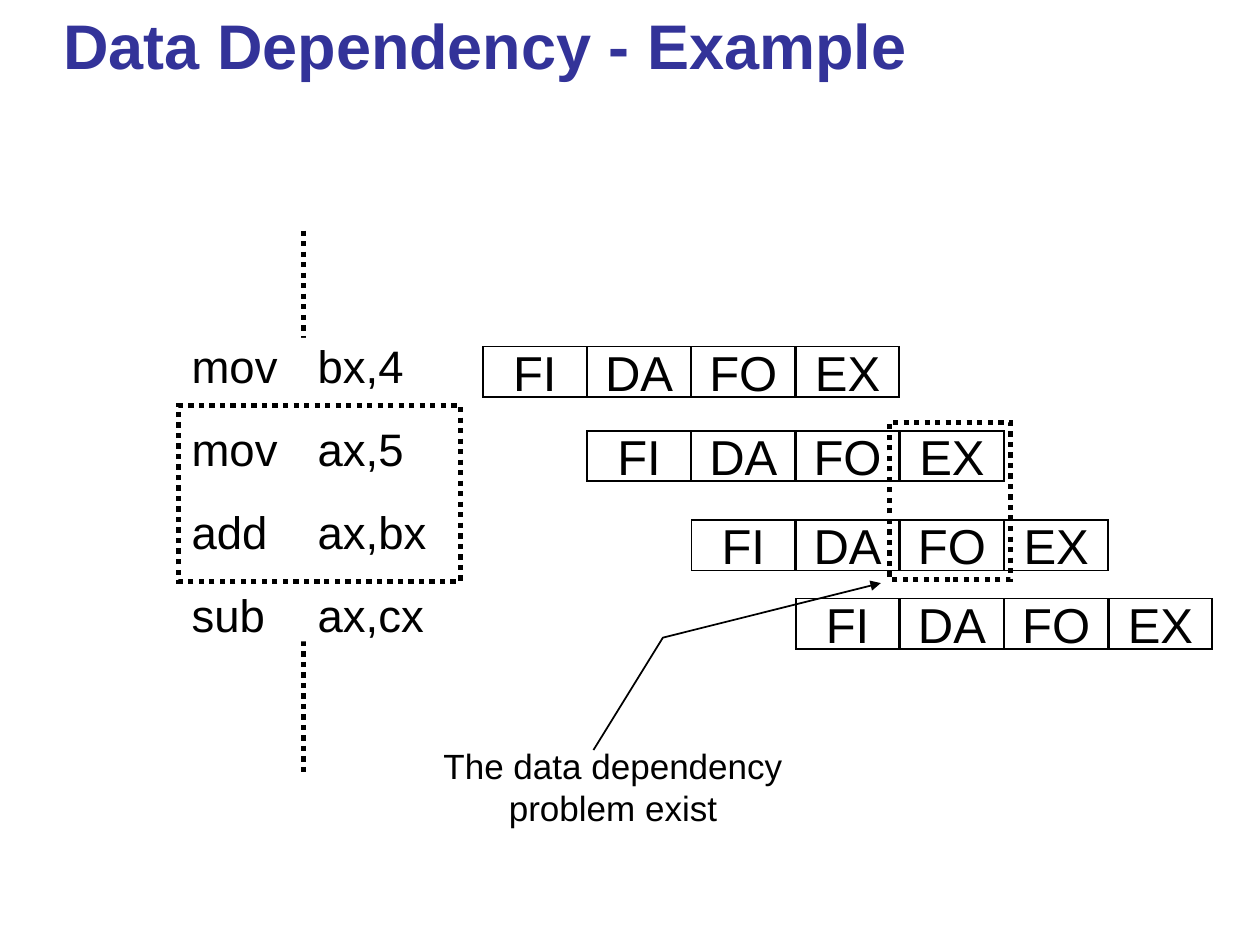
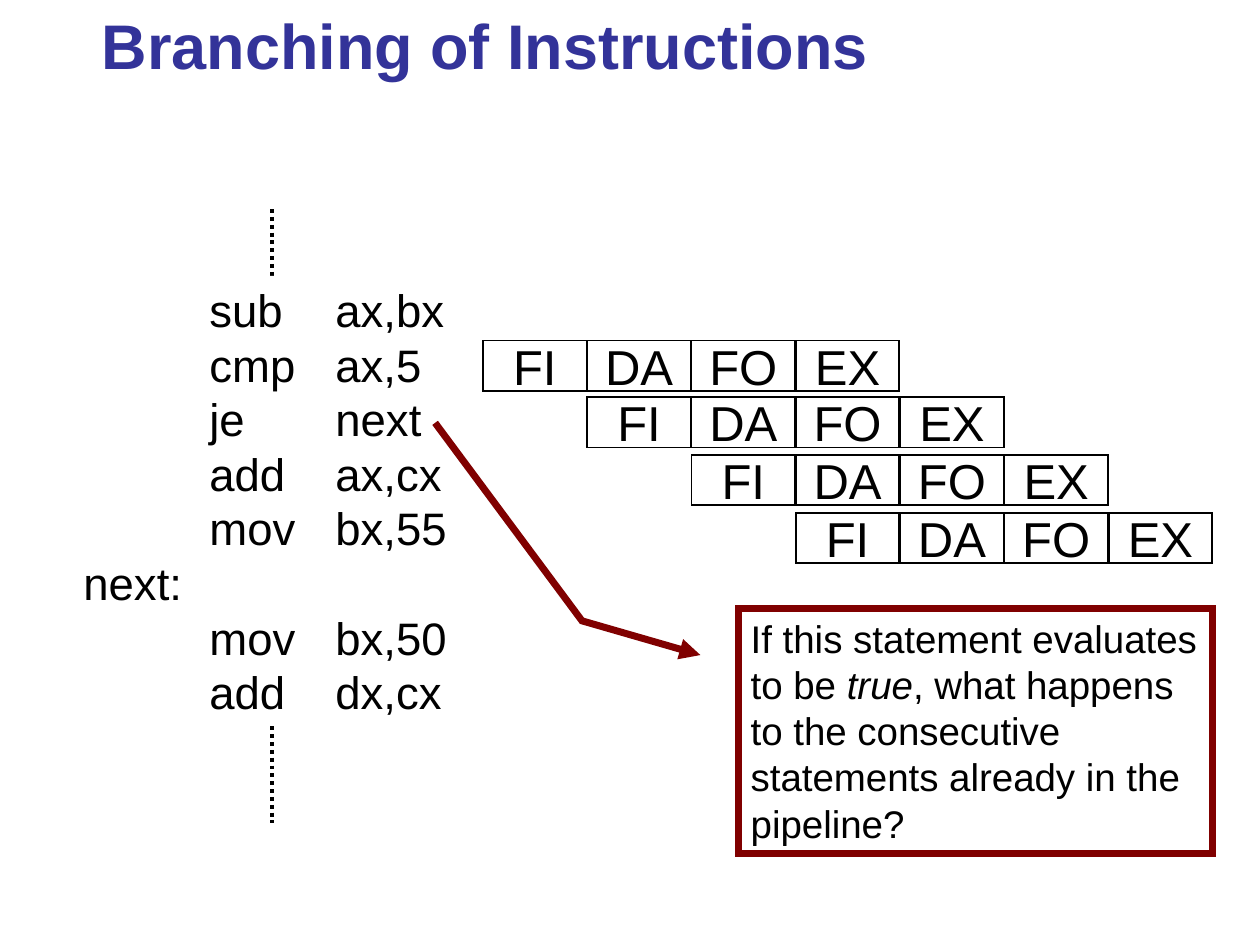
from pptx import Presentation
from pptx.dml.color import RGBColor
from pptx.enum.dml import MSO_LINE
from pptx.enum.shapes import MSO_CONNECTOR, MSO_SHAPE
from pptx.enum.text import MSO_ANCHOR, MSO_AUTO_SIZE, PP_ALIGN
from pptx.oxml.ns import qn
from pptx.util import Pt
from lxml.etree import SubElement

COLORS = {"title": "333399", "ink": "000000", "paper": "FFFFFF", "alert": "800000"}
FONT = "Arial"
STAGES = ["FI", "DA", "FO", "EX"]
STAGE_LEFT, STAGE_STEP, STAGE_WIDTH, STAGE_HEIGHT = 276, 59.6, 59.2, 28.8

LESSONS = [
    {
        "title": "Data Dependency - Example",
        "code": ["mov\tbx,4", "mov\tax,5", "add\tax,bx", "sub\tax,cx"],
        "code_box": (109.5, 193, 138, 173.5),
        "code_margins": (0, 0),
        "code_gap": 16.2,
        "ellipsis": (173.5, 131.8, 443, 3),
        "row_tops": [198, 246.2, 297.2, 342],
    },
    {
        "title": "Branching of Instructions",
        "code": ["\tsub\tax,bx", "\tcmp\tax,5", "\tje\tnext", "\tadd\tax,cx",
                 "\tmov\tbx,55", "next:", "\tmov\tbx,50", "\tadd\tdx,cx"],
        "code_box": (40.6, 157.7, 230, 257),
        "code_margins": (7.2, 3.6),
        "code_gap": 0,
        "ellipsis": (155.5, 119.5, 470.2, 2.25),
        "row_tops": [194.6, 227, 260, 293],
    },
]


def style_text(shape, size, color="ink", bold=False, align=PP_ALIGN.LEFT,
               anchor=MSO_ANCHOR.TOP, wrap=True):
    frame = shape.text_frame
    frame.word_wrap = wrap
    frame.vertical_anchor = anchor
    for paragraph in frame.paragraphs:
        paragraph.alignment = align
        for run in paragraph.runs:
            run.font.name = FONT
            run.font.size = Pt(size)
            run.font.bold = bold
            run.font.color.rgb = RGBColor.from_string(COLORS[color])


def style_line(shape, width, color="ink", dotted=False, arrow=None):
    shape.line.color.rgb = RGBColor.from_string(COLORS[color])
    shape.line.width = Pt(width)
    if dotted:
        shape.line.dash_style = MSO_LINE.ROUND_DOT
    outline = shape._element.spPr.find(qn("a:ln"))
    SubElement(outline, qn("a:miter")).set("lim", "800000")
    if arrow:
        SubElement(outline, qn(f"a:{arrow}")).set("type", "triangle")


deck = Presentation()
deck.slide_width, deck.slide_height = Pt(720), Pt(540)
paper = RGBColor.from_string(COLORS["paper"])
slides = []

# Parts that both slides share
for lesson in LESSONS:
    slide = deck.slides.add_slide(deck.slide_layouts[6])
    slides.append(slide)

    # Dotted line for the rest of the program, behind the code
    x, top, bottom, width = lesson["ellipsis"]
    ellipsis = slide.shapes.add_connector(
        MSO_CONNECTOR.STRAIGHT, Pt(x), Pt(top), Pt(x), Pt(bottom))
    style_line(ellipsis, width, dotted=True)
    SubElement(ellipsis._element.spPr, qn("a:effectLst"))

    # Title
    title = slide.shapes.add_textbox(0, 0, Pt(554.4), Pt(90))
    title.text_frame.text = lesson["title"]
    style_text(title, 36, "title", bold=True, align=PP_ALIGN.CENTER)

    # Assembly code, with operands on tab stops
    code = slide.shapes.add_textbox(*map(Pt, lesson["code_box"]))
    code.fill.solid()
    code.fill.fore_color.rgb = paper
    frame = code.text_frame
    frame.auto_size = MSO_AUTO_SIZE.SHAPE_TO_FIT_TEXT
    side, edge = map(Pt, lesson["code_margins"])
    frame.margin_left = frame.margin_right = side
    frame.margin_top = frame.margin_bottom = edge
    frame.text = "\n".join(lesson["code"])
    for instruction in frame.paragraphs:
        instruction.space_after = Pt(lesson["code_gap"])
        tabs = SubElement(instruction._p.get_or_add_pPr(), qn("a:tabLst"))
        for stop in (72, 144):
            tab = SubElement(tabs, qn("a:tab"))
            tab.set("pos", str(Pt(stop)))
            tab.set("algn", "l")
    style_text(code, 26)

    # Pipeline: each instruction starts one stage later
    for row, top in enumerate(lesson["row_tops"]):
        for column, name in enumerate(STAGES):
            stage = slide.shapes.add_shape(
                MSO_SHAPE.RECTANGLE, Pt(STAGE_LEFT + (row + column) * STAGE_STEP),
                Pt(top), Pt(STAGE_WIDTH), Pt(STAGE_HEIGHT))
            stage.shadow.inherit = False
            stage.fill.solid()
            stage.fill.fore_color.rgb = paper
            style_line(stage, 1)
            stage.text_frame.text = name
            style_text(stage, 28, align=PP_ALIGN.CENTER,
                       anchor=MSO_ANCHOR.MIDDLE, wrap=False)

dependency, branching = slides

# Dotted frames around the dependent instructions and their stages
for bounds in [(102.2, 231.8, 160.9, 100.4), (508.3, 241.4, 69.1, 89.6)]:
    conflict = dependency.shapes.add_shape(MSO_SHAPE.RECTANGLE, *map(Pt, bounds))
    conflict.shadow.inherit = False
    conflict.fill.background()
    style_line(conflict, 3, dotted=True)

# Explanation and its arrow
explanation = dependency.shapes.add_textbox(Pt(243), Pt(422), Pt(214.6), Pt(55.4))
explanation.text_frame.text = "The data dependency problem exist"
style_text(explanation, 20, align=PP_ALIGN.CENTER)

builder = dependency.shapes.build_freeform(Pt(339.1), Pt(428.6))
builder.add_line_segments([(Pt(378.8), Pt(364.4)), (Pt(503.3), Pt(333.2))], close=False)
pointer = builder.convert_to_shape()
pointer.shadow.inherit = False
pointer.fill.background()
style_line(pointer, 1, arrow="tailEnd")

# Question about the branch, with its leader line
question = branching.shapes.add_shape(
    MSO_SHAPE.LINE_CALLOUT_2, Pt(421.9), Pt(347.8), Pt(270.7), Pt(139.7))
for index, value in enumerate([0.19, -0.08, 0.05, -0.33, -0.76, -0.64]):
    question.adjustments[index] = value
question.shadow.inherit = False
question.fill.solid()
question.fill.fore_color.rgb = paper
style_line(question, 4, "alert", arrow="headEnd")
wording = question.text_frame.paragraphs[0]
for part in ["If this statement evaluates to be ", "true",
             ", what happens to the consecutive statements already in the pipeline?"]:
    run = wording.add_run()
    run.text = part
    run.font.italic = part == "true"
style_text(question, 22)

deck.save("out.pptx")
